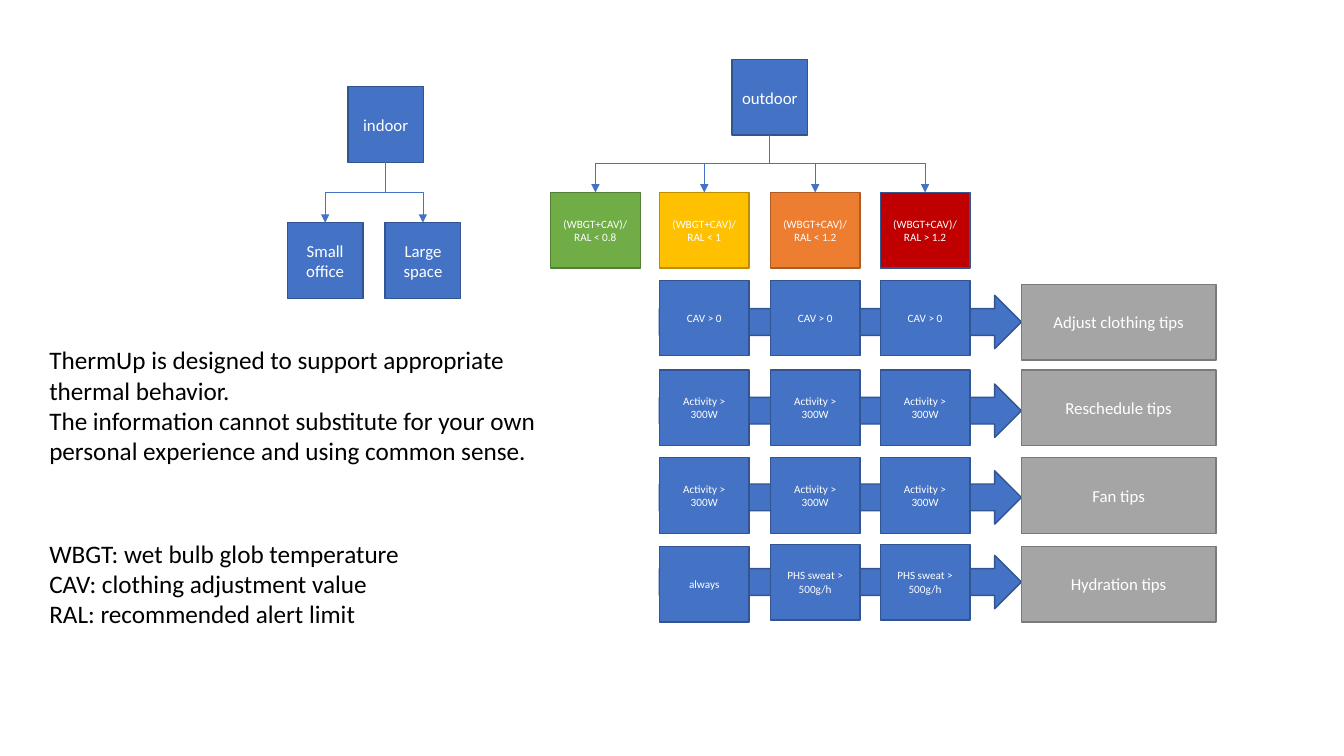
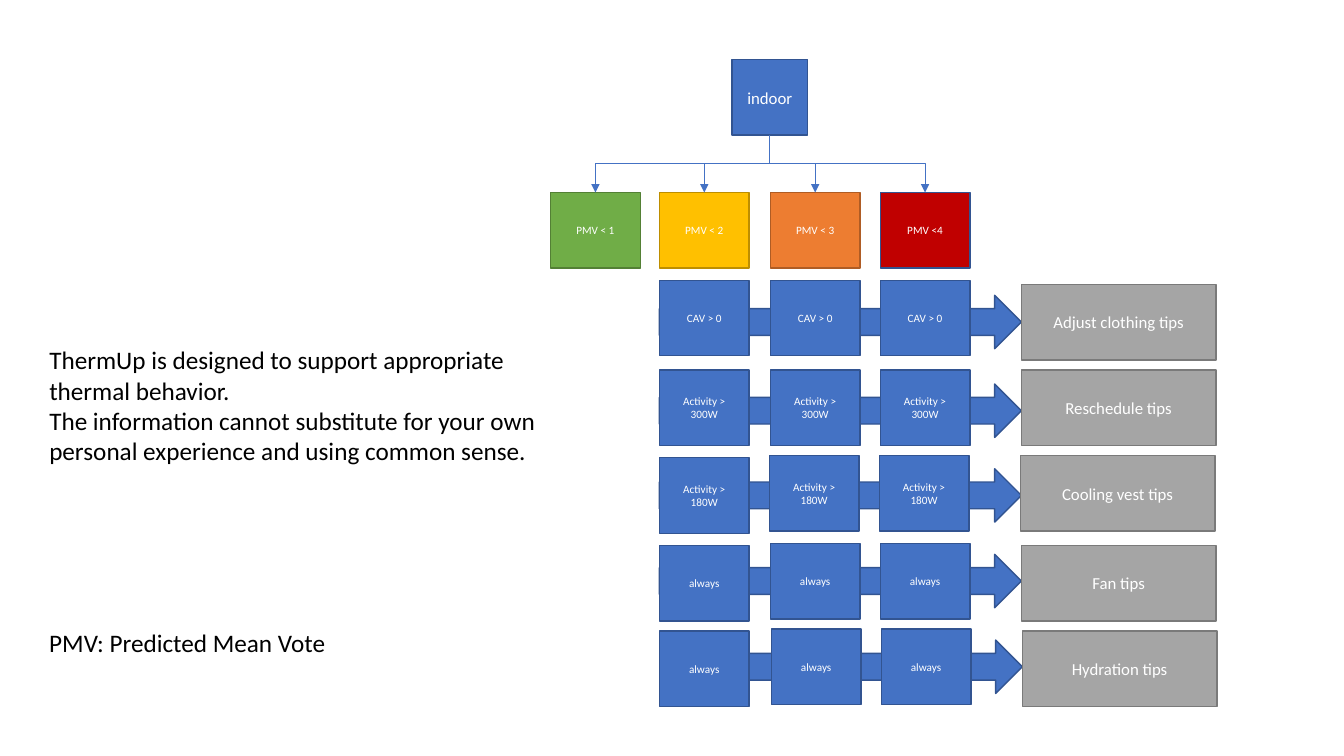
from lxml import etree
from pptx import Presentation
from pptx.dml.color import RGBColor
from pptx.enum.shapes import MSO_CONNECTOR, MSO_SHAPE
from pptx.enum.text import MSO_ANCHOR, MSO_AUTO_SIZE, PP_ALIGN
from pptx.oxml.ns import qn
from pptx.util import Inches, Pt

RECT, ARROW = MSO_SHAPE.RECTANGLE, MSO_SHAPE.RIGHT_ARROW
ELBOW = MSO_CONNECTOR.ELBOW
MIDDLE, TOP = MSO_ANCHOR.MIDDLE, MSO_ANCHOR.TOP
CENTER, LEFT = PP_ALIGN.CENTER, PP_ALIGN.LEFT
GROW = MSO_AUTO_SIZE.SHAPE_TO_FIT_TEXT

WHITE = RGBColor(0xFF, 0xFF, 0xFF)
BLACK = RGBColor(0, 0, 0)
BLUE, NAVY = RGBColor(0x44, 0x72, 0xC4), RGBColor(0x32, 0x54, 0x91)
GREEN, MOSS = RGBColor(0x70, 0xAD, 0x47), RGBColor(0x53, 0x80, 0x35)
YELLOW, GOLD = RGBColor(0xFF, 0xC0, 0x00), RGBColor(0xBD, 0x8E, 0x00)
ORANGE, RUST = RGBColor(0xED, 0x7D, 0x31), RGBColor(0xAF, 0x5C, 0x24)
RED = RGBColor(0xC0, 0x00, 0x00)
GRAY, SLATE = RGBColor(0xA5, 0xA5, 0xA5), RGBColor(0x7A, 0x7A, 0x7A)

# Grid in inches
SIDE = 0.75            # height of every box, width of tree boxes
CELL = 0.89            # width of a grid cell
COLS = (5.46, 6.54, 7.64, 8.73)
TIP_X, TIP_W = 10.13, 1.93
BAR_W, BAR_H = 3.59, 0.53
ROOT_X, ROOT_Y, LEVEL_Y = 7.26, 0.59, 1.91
NOTE_X = 0.39

LEVELS = ((GREEN, MOSS), (YELLOW, GOLD), (ORANGE, RUST), (RED, NAVY))
ABOUT = ("ThermUp is designed to support appropriate thermal behavior.",
         "The information cannot substitute for your own personal "
         "experience and using common sense.")

# Rows: tops of bar, first cell, other cells and tip; shift; cells; tip
SHARED = (
    ((2.93, 2.78, 2.78, 2.82), 0, ["CAV > 0"] * 3, "Adjust clothing tips"),
    ((3.81, 3.67, 3.67, 3.67), 0, ["Activity > 300W"] * 3, "Reschedule tips"),
)
OUTDOOR = SHARED + (
    ((4.67, 4.54, 4.54, 4.54), 0, ["Activity > 300W"] * 3, "Fan tips"),
    ((5.51, 5.42, 5.4, 5.42), 0, ["always"] + ["PHS sweat > 500g/h"] * 2,
     "Hydration tips"),
)
INDOOR = SHARED + (
    ((4.65, 4.54, 4.52, 4.52), -0.01, ["Activity > 180W"] * 3,
     "Cooling vest tips"),
    ((5.5, 5.41, 5.39, 5.41), 0, ["always"] * 3, "Fan tips"),
    ((6.35, 6.26, 6.24, 6.26), 0.01, ["always"] * 3, "Hydration tips"),
)


def style(target, form):
    for key, value in form.items():
        setattr(target, key, value)


class Deck:
    """Holds the style and the current slide."""

    def __init__(self):
        self.prs = Presentation()
        style(self.prs, {"slide_width": Inches(13.33),
                         "slide_height": Inches(7.5)})
        self.shapes = None

    def page(self):
        self.shapes = self.prs.slides.add_slide(
            self.prs.slide_layouts[6]).shapes

    def label(self, shape, lines, size, color, align, frame):
        text = shape.text_frame
        style(text, frame)
        for i, line in enumerate(lines):
            para = text.paragraphs[0] if i == 0 else text.add_paragraph()
            para.alignment = align
            run = para.add_run()
            run.text = line
            style(run.font, {"name": "Calibri", "size": Pt(size)})
            run.font.color.rgb = color

    def shape(self, kind, x, y, w, h, fill=BLUE, edge=NAVY):
        item = self.shapes.add_shape(kind, *map(Inches, (x, y, w, h)))
        item.shadow.inherit = False
        item.fill.solid()
        item.fill.fore_color.rgb = fill
        item.line.color.rgb = edge
        item.line.width = Pt(1)
        return item

    def box(self, text, x, y, w=SIDE, size=12, fill=BLUE, edge=NAVY):
        item = self.shape(RECT, x, y, w, SIDE, fill, edge)
        self.label(item, [text], size, WHITE, CENTER,
                   {"word_wrap": True, "vertical_anchor": MIDDLE})
        return item

    def note(self, lines, y, w, h, wrap):
        item = self.shapes.add_textbox(*map(Inches, (NOTE_X, y, w, h)))
        self.label(item, lines, 18, BLACK, LEFT,
                   {"word_wrap": wrap, "vertical_anchor": TOP,
                    "auto_size": GROW})

    def link(self, start, end):
        """Elbow arrow from the bottom of one box to the top of another."""
        x1, y1 = start.left + start.width // 2, start.top + start.height
        x2, y2 = end.left + end.width // 2, end.top
        line = self.shapes.add_connector(ELBOW, x1, y1, x2, y2)
        line.begin_connect(start, 2)
        line.end_connect(end, 0)
        # Turn the elbow so that it leaves downwards
        long, wide = y2 - y1, abs(x2 - x1)
        style(line, {"left": (x1 + x2 - long) // 2,
                     "top": (y1 + y2 - wide) // 2,
                     "width": long, "height": wide})
        right = x2 > x1
        props = line._element.spPr
        style(props.xfrm, {"rot": 270 if right else 90,
                           "flipH": right, "flipV": False})
        line.line.color.rgb = BLUE
        line.line.width = Pt(0.5)
        etree.SubElement(props.find(qn("a:ln")), qn("a:tailEnd"),
                         type="triangle")
        etree.SubElement(props, qn("a:effectLst"))

    def tree(self, root, leaves):
        for leaf in leaves:
            self.link(root, leaf)

    def row(self, tops, shift, cells, tip):
        bar_y, first_y, rest_y, tip_y = tops
        self.shape(ARROW, COLS[1] + max(shift, 0), bar_y, BAR_W, BAR_H)
        for i, (x, text) in enumerate(zip(COLS[1:], cells)):
            if i == 0:
                self.box(text, x, first_y, CELL, 8)
            else:
                self.box(text, x + shift, rest_y, CELL, 8)
        self.box(tip, TIP_X + shift, tip_y, TIP_W, 12, GRAY, SLATE)

    def chart(self, name, labels, rows):
        root = self.box(name, ROOT_X, ROOT_Y)
        self.tree(root, [
            self.box(text, x, LEVEL_Y, CELL, 8, fill, edge)
            for text, x, (fill, edge) in zip(labels, COLS, LEVELS)])
        for row in rows:
            self.row(*row)
        self.note(ABOUT, 3.37, 5.31, 1.31, True)


def main():
    deck = Deck()

    # Slide 1: indoor tree and outdoor chart
    deck.page()
    root = deck.box("indoor", 3.45, 0.86)
    deck.tree(root, [deck.box("Small office", 2.85, 2.21),
                     deck.box("Large space", 3.82, 2.21)])
    deck.chart("outdoor",
               [f"(WBGT+CAV)/RAL {limit}"
                for limit in ("< 0.8", "< 1", "< 1.2", "> 1.2")], OUTDOOR)
    deck.note(["WBGT: wet bulb glob temperature",
               "CAV: clothing adjustment value",
               "RAL: recommended alert limit"], 5.29, 3.71, 1.01, False)

    # Slide 2: indoor chart
    deck.page()
    deck.chart("indoor", ["PMV < 1", "PMV < 2", "PMV < 3", "PMV <4"], INDOOR)
    deck.note(["PMV: Predicted Mean Vote"], 6.17, 2.97, 0.4, False)

    deck.prs.save("out.pptx")


if __name__ == "__main__":
    main()
